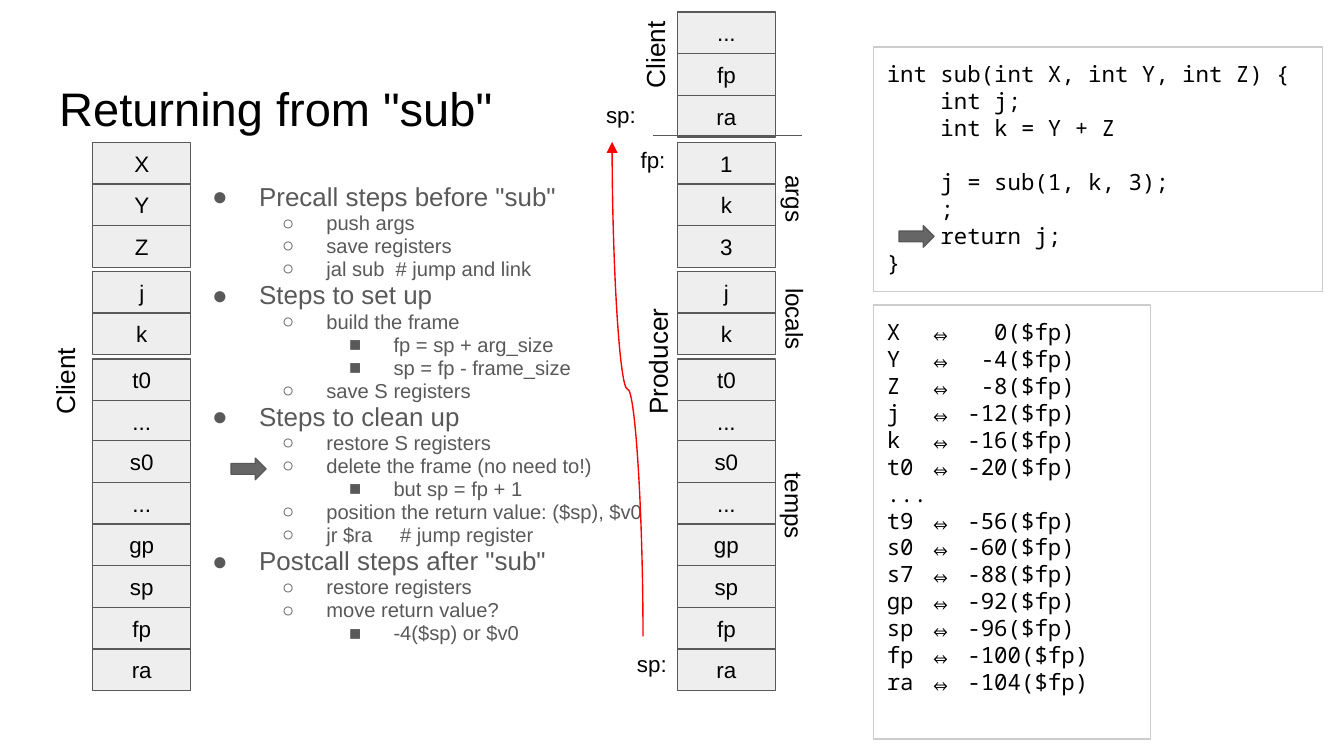
import pptx
import pptx.util
import pptx.dml.color
import pptx.enum.shapes
import pptx.enum.text
import pptx.oxml
import pptx.oxml.ns

Inches = pptx.util.Inches
SHAPE = pptx.enum.shapes.MSO_SHAPE
CONNECTOR = pptx.enum.shapes.MSO_CONNECTOR
ALIGN = pptx.enum.text.PP_ALIGN
ANCHOR = pptx.enum.text.MSO_ANCHOR

CELL_W, CELL_H = 0.73, 0.31
CLIENT_X, PRODUCER_X = 0.69, 5.04
GREY, CELL_FILL, SAVED_FILL = "595959", "EEEEEE", "EFEFEF"

# Each group: top, producer fill, client names, producer names
FRAME_GROUPS = [
    (1.06, CELL_FILL, ["X", "Y", "Z"], ["1", "k", "3"]),
    (2.02, CELL_FILL, ["j", "k"], ["j", "k"]),
    (2.67, CELL_FILL, ["t0", "..."], ["t0", "..."]),
    (3.28, SAVED_FILL, ["s0", "..."], ["s0", "..."]),
    (3.9, CELL_FILL, ["gp", "sp", "fp", "ra"], ["gp", "sp", "fp", "ra"]),
]

STEPS = [
    (0, 'Precall steps before "sub"'),
    (1, "push args"),
    (1, "save registers"),
    (1, "jal sub  # jump and link"),
    (0, "Steps to set up"),
    (1, "build the frame"),
    (2, "fp = sp + arg_size"),
    (2, "sp = fp - frame_size"),
    (1, "save S registers"),
    (0, "Steps to clean up"),
    (1, "restore S registers"),
    (1, "delete the frame (no need to!)"),
    (2, "but sp = fp + 1"),
    (1, "position the return value: ($sp), $v0"),
    (1, "jr $ra     # jump register"),
    (0, 'Postcall steps after "sub"'),
    (1, "restore registers"),
    (1, "move return value?"),
    (2, "-4($sp) or $v0"),
]

CODE = ["int sub(int X, int Y, int Z) {", "    int j;", "    int k = Y + Z",
        "\v    j = sub(1, k, 3);", "    ;", "    return j; \v}"]

OFFSETS = ["X  ⇔   0($fp)", "Y  ⇔  -4($fp)", "Z  ⇔  -8($fp)", "j  ⇔ -12($fp)",
           "k  ⇔ -16($fp)", "t0 ⇔ -20($fp)", "...", "t9 ⇔ -56($fp)",
           "s0 ⇔ -60($fp)", "s7 ⇔ -88($fp)", "gp ⇔ -92($fp)", "sp ⇔ -96($fp)",
           "fp ⇔ -100($fp)", "ra ⇔ -104($fp)"]

# Rotated labels: text, box, size, rotation
SIDE_LABELS = [
    ("args", (5.55, 1.36, 0.73, 0.42), 13, 90),
    ("locals", (5.55, 2.2, 0.73, 0.42), 13, 90),
    ("temps", (5.54, 3.58, 0.74, 0.42), 13, 90),
    ("Client", (0.12, 2.6, 0.73, 0.44), 14, 270),
    ("Producer", (4.21, 2.28, 1.37, 0.44), 14, 270),
    ("Client", (4.51, 0.17, 0.73, 0.44), 14, 270),
]
POINTERS = [("fp:", 4.5, 0.99), ("sp:", 4.51, 4.74), ("sp:", 4.28, 0.65)]


def rgb(value):
    return pptx.dml.color.RGBColor.from_string(value)


def apply(target, values):
    for name, value in values.items():
        setattr(target, name, value)


def set_font(line, size, font, color):
    # The paragraph font covers line breaks, the run fonts set the bullet size
    for part in (line, *line.runs):
        apply(part.font, {"name": font, "size": pptx.util.Pt(size)})
        part.font.color.rgb = rgb(color)


def write(frame, lines, size, font="Arial", color="000000",
          align=ALIGN.LEFT, anchor=ANCHOR.TOP):
    margins = dict.fromkeys(("margin_left", "margin_right", "margin_top", "margin_bottom"),
                            Inches(0.1))
    apply(frame, {"word_wrap": True, "vertical_anchor": anchor, **margins})
    frame.text = "\n".join(lines)
    for line in frame.paragraphs:
        line.alignment = align
        set_font(line, size, font, color)


def add_label(slide, text, box, size, rotation=0, align=ALIGN.LEFT):
    label = slide.shapes.add_textbox(*map(Inches, box))
    label.rotation = rotation
    write(label.text_frame, [text], size, align=align)


def add_block(slide, kind, box, line, fill=None):
    block = slide.shapes.add_shape(kind, *map(Inches, box))
    block.shadow.inherit = False
    if fill:
        block.fill.solid()
        block.fill.fore_color.rgb = rgb(fill)
    else:
        block.fill.background()
    block.line.color.rgb = rgb(line)
    block.line.width = pptx.util.Pt(0.75)
    return block


def add_cells(slide, left, top, names, fill=CELL_FILL):
    for row, name in enumerate(names):
        cell = add_block(slide, SHAPE.RECTANGLE,
                         (left, top + row * CELL_H, CELL_W, CELL_H), GREY, fill)
        write(cell.text_frame, [name], 12, align=ALIGN.CENTER, anchor=ANCHOR.MIDDLE)


def add_code(slide, box, lines):
    panel = add_block(slide, SHAPE.RECTANGLE, box, "CCCCCC")
    write(panel.text_frame, lines, 12, font="Noto Sans Mono")


def add_steps(slide):
    outline = slide.shapes.add_textbox(*map(Inches, (1.33, 1.26, 8.12, 3.74)))
    write(outline.text_frame, [text for _, text in STEPS], 10.8, color=GREY)
    for step, (level, _) in zip(outline.text_frame.paragraphs, STEPS):
        apply(step, {"level": level, "line_spacing": 0.95})
        if level == 0:
            set_font(step, 13.9, "Arial", GREY)
        props = step._p.get_or_add_pPr()
        props.set("marL", str(Inches(0.5 * (level + 1))))
        props.set("indent", str(Inches(-0.33 if level else -0.35)))
        for tag in ('buFont typeface="Arial"', f'buChar char="{"●○■"[level]}"'):
            bullet = pptx.oxml.parse_xml(f'<a:{tag} {pptx.oxml.ns.nsdecls("a")}/>')
            props.insert_element_before(bullet, "a:tabLst", "a:defRPr", "a:extLst")


def add_line(slide, kind, ends, color):
    line = slide.shapes.add_connector(kind, *map(Inches, ends))
    line.line.color.rgb = rgb(color)
    line.line.width = pptx.util.Pt(0.75)
    line._element.spPr.append(
        pptx.oxml.parse_xml(f'<a:effectLst {pptx.oxml.ns.nsdecls("a")}/>'))
    return line


def add_sp_move(slide):
    # The curve is laid out flat, then turned upright by a quarter turn
    move = add_line(slide, CONNECTOR.CURVE, (6.51, 2.78, 2.83, 3.01), "FF0000")
    move._element.spPr.find(pptx.oxml.ns.qn("a:xfrm")).set("rot", "5400000")
    move.line._get_or_add_ln().append(
        pptx.oxml.parse_xml(f'<a:tailEnd {pptx.oxml.ns.nsdecls("a")} type="triangle"/>'))


def main():
    deck = pptx.Presentation()
    # Widescreen, 16 to 9
    apply(deck, {"slide_width": Inches(10), "slide_height": Inches(10) * 9 // 16})
    slide = deck.slides.add_slide(deck.slide_layouts[5])

    # Title and steps
    title = slide.shapes.title
    apply(title, dict(zip(("left", "top", "width", "height"),
                          map(Inches, (0.34, 0.49, 9.32, 0.63)))))
    write(title.text_frame, ['Returning from "sub"'], 25.2, anchor=ANCHOR.MIDDLE)
    add_steps(slide)

    # Stack frames
    add_cells(slide, PRODUCER_X, 0.09, ["...", "fp", "ra"])
    for top, fill, client, producer in FRAME_GROUPS:
        add_cells(slide, CLIENT_X, top, client)
        add_cells(slide, PRODUCER_X, top, producer, fill)

    # Labels and pointers
    for text, box, size, rotation in SIDE_LABELS:
        add_label(slide, text, box, size, rotation)
    for text, left, top in POINTERS:
        add_label(slide, text, (left, top, 0.55, 0.4), 12, align=ALIGN.RIGHT)

    # Code panels
    add_code(slide, (6.5, 0.35, 3.34, 1.82), CODE)
    add_code(slide, (6.5, 2.27, 2.06, 3.23), OFFSETS)

    # Frame boundary, current-step arrows and stack pointer move
    add_line(slide, CONNECTOR.STRAIGHT, (4.86, 1.01, 5.97, 1.01), GREY)
    for left, top in [(1.72, 3.41), (6.69, 1.68)]:
        add_block(slide, SHAPE.RIGHT_ARROW, (left, top, 0.26, 0.16), GREY, "666666")
    add_sp_move(slide)

    deck.save("out.pptx")


if __name__ == "__main__":
    main()
